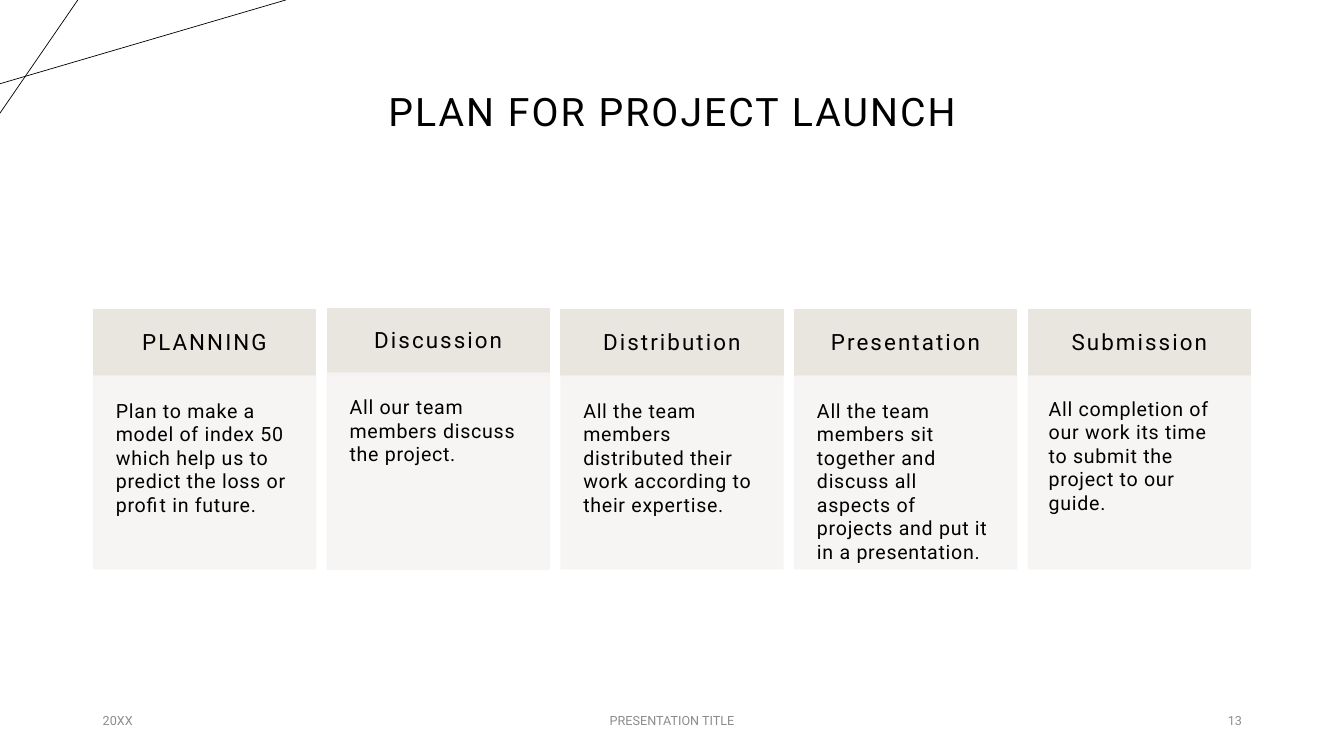
import pptx
import pptx.dml.color
import pptx.enum.shapes
import pptx.enum.text
import pptx.oxml
import pptx.oxml.ns
import pptx.util
from pptx.util import Cm

ALIGN = pptx.enum.text.PP_ALIGN
ANCHOR = pptx.enum.text.MSO_ANCHOR


def rgb(value):
    return pptx.dml.color.RGBColor.from_string(value)


def set_alpha(sp, percent):
    """Make the fill and line of a shape partly transparent."""
    for clr in sp._element.spPr.iter(pptx.oxml.ns.qn("a:srgbClr")):
        clr.append(pptx.oxml.parse_xml(
            f'<a:alpha {pptx.oxml.ns.nsdecls("a")} val="{percent * 1000}"/>'))


class Deck:
    FONT = "Roboto"
    INK, GREY = "000000", "8C8C8C"
    HEADER, BODY = "E9E6DF", "F7F5F3"

    def __init__(self, slide):
        self.s = slide

    def line(self, x1, y1, x2, y2):
        cx = self.s.shapes.add_connector(
            pptx.enum.shapes.MSO_CONNECTOR.STRAIGHT, Cm(x1), Cm(y1), Cm(x2), Cm(y2))
        cx.line.color.rgb = rgb(self.INK)
        cx.line.width = pptx.util.Pt(0.5)
        cx._element.spPr.append(pptx.oxml.parse_xml(
            f'<a:effectLst {pptx.oxml.ns.nsdecls("a")}/>'))

    def set_text(self, sp, text, size, color=INK, align=ALIGN.LEFT, anchor=ANCHOR.MIDDLE,
                 spacing=0, leading=1.0, inset=None):
        tf = sp.text_frame
        tf.text = text
        tf.word_wrap = True
        tf.vertical_anchor = anchor
        if inset is not None:
            tf.margin_left = tf.margin_right = Cm(inset)
            tf.margin_top = tf.margin_bottom = Cm(inset)
        p = tf.paragraphs[0]
        p.alignment = align
        p.line_spacing = leading
        r = p.runs[0]
        r.font.name = self.FONT
        r.font.size = pptx.util.Pt(size)
        r.font.color.rgb = rgb(color)
        if spacing:
            r.font._element.set("spc", str(int(spacing * 100)))

    def text(self, x, y, w, h, text, size, **style):
        sp = self.s.shapes.add_textbox(Cm(x), Cm(y), Cm(w), Cm(h))
        self.set_text(sp, text, size, **style)

    def box(self, x, y, w, h, fill, text, size, alpha=100, **style):
        sp = self.s.shapes.add_shape(
            pptx.enum.shapes.MSO_SHAPE.RECTANGLE, Cm(x), Cm(y), Cm(w), Cm(h))
        sp.shadow.inherit = False
        sp.line.width = pptx.util.Pt(1)
        for paint in (sp.fill, sp.line.fill):
            paint.solid()
            paint.fore_color.rgb = rgb(fill)
        if alpha < 100:
            set_alpha(sp, alpha)
        self.set_text(sp, text, size, **style)

    def card(self, x, top, body_top, body_h, title, body, inset):
        self.box(x, top, 5.59, 1.68, self.HEADER, title, 16, align=ALIGN.CENTER,
                 spacing=1.5, leading=0.9, inset=0.43)
        self.box(x, body_top, 5.59, body_h, self.BODY, body, 14, alpha=90,
                 anchor=ANCHOR.TOP, spacing=0.5, inset=inset)


def main():
    prs = pptx.Presentation()
    prs.slide_width, prs.slide_height = Cm(33.87), Cm(19.05)
    deck = Deck(prs.slides.add_slide(prs.slide_layouts[6]))

    # Corner lines
    deck.line(0, 2.11, 7.2, 0)
    deck.line(1.96, 0, 0, 2.85)

    # Title
    deck.text(2.34, 1.02, 29.21, 3.68, "PLAN FOR PROJECT LAUNCH", 28,
              align=ALIGN.CENTER, spacing=1.5, leading=0.9)

    # Launch stages: the second card sits slightly higher
    usual, raised = (7.8, 9.48, 4.85), (7.77, 9.4, 4.95)
    stages = [
        ("PLANNING", "Plan to make a model of index 50 which help us to predict "
         "the loss or profit in future.", usual, 0.56),
        ("Discussion", "All our team members discuss the project.", raised, 0.56),
        ("Distribution", "All the team members distributed their work according to "
         "their expertise.", usual, 0.56),
        ("Presentation", "All the team members sit together and discuss all aspects of "
         "projects and put it in a presentation.", usual, 0.56),
        ("Submission", "All completion of our work its time to submit the project to "
         "our guide.", usual, 0.51),
    ]
    for i, (title, body, rows, inset) in enumerate(stages):
        deck.card(2.36 + i * 5.89, *rows, title, body, inset)

    # Footer
    for x, w, text, align in [
        (2.34, 7.62, "20XX", ALIGN.LEFT),
        (11.22, 11.43, "PRESENTATION TITLE", ALIGN.CENTER),
        (23.93, 7.62, "13", ALIGN.RIGHT),
    ]:
        deck.text(x, 17.65, w, 1.02, text, 9, color=Deck.GREY, align=align)

    prs.save("out.pptx")


if __name__ == "__main__":
    main()
